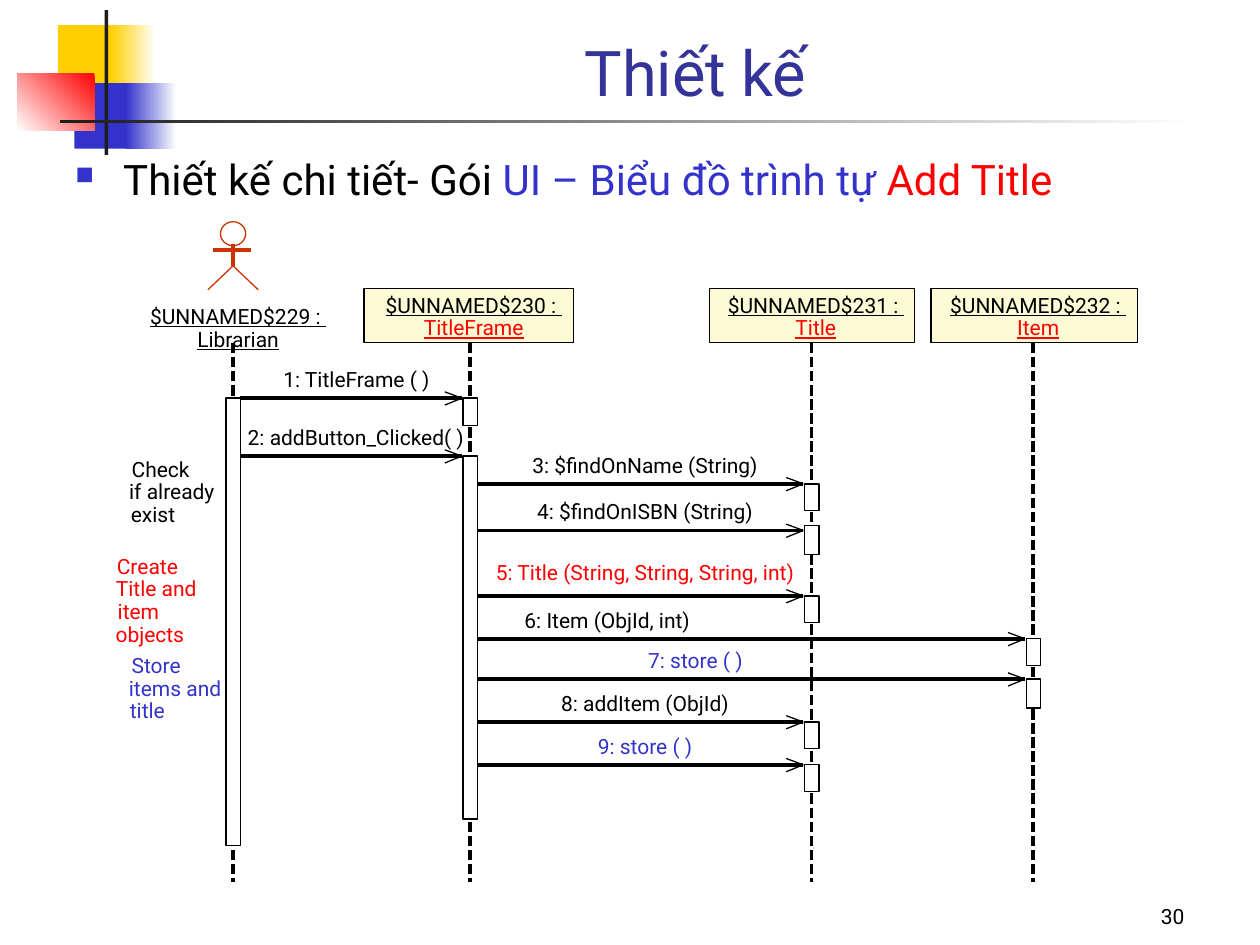
from lxml import etree
from pptx import Presentation, util as u
from pptx.dml.color import RGBColor
from pptx.enum import dml, shapes, text
from pptx.oxml.ns import qn

BLACK = RGBColor(0x00, 0x00, 0x00)
WHITE = RGBColor(0xFF, 0xFF, 0xFF)
INK = RGBColor(0x1C, 0x1C, 0x1C)
RED = RGBColor(0xFF, 0x00, 0x00)
BLUE = RGBColor(0x33, 0x33, 0xCC)
NAVY = RGBColor(0x33, 0x33, 0x99)
YELLOW = RGBColor(0xFF, 0xCF, 0x01)
CREAM = RGBColor(0xFD, 0xFB, 0xD5)
RUST = RGBColor(0xCC, 0x33, 0x00)

CELL = u.Inches(0.1)  # the slide is a grid of 100 columns by 75 rows
PLAIN = {"margin_left": 0, "margin_right": 0, "margin_top": 0, "margin_bottom": 0,
         "word_wrap": False, "auto_size": text.MSO_AUTO_SIZE.SHAPE_TO_FIT_TEXT}
FRAMED = {"word_wrap": True, "auto_size": text.MSO_AUTO_SIZE.NONE}


def set_all(target, values):
    for name, value in values.items():
        setattr(target, name, value)


def add_run(paragraph, words, color, size=12, underline=None):
    run = paragraph.add_run()
    run.text = words
    set_all(run.font, {"name": "Roboto", "size": u.Pt(size), "underline": underline})
    run.font.color.rgb = color


class Region:
    """Draws on the slide in grid cells counted from its own corner."""

    def __init__(self, slide, column, row):
        self.shapes, self.column, self.row = slide.shapes, column, row

    def point(self, x, y):
        return round((self.column + x) * CELL), round((self.row + y) * CELL)

    def box(self, x, y, width, height):
        return *self.point(x, y), round(width * CELL), round(height * CELL)

    def block(self, box, fill=None, line=None, kind=shapes.MSO_SHAPE.RECTANGLE):
        block = self.shapes.add_shape(kind, *self.box(*box))
        self.finish(block, fill, line)
        return block

    def finish(self, part, fill, line):
        part.shadow.inherit = False
        if fill is None:
            part.fill.background()
        else:
            part.fill.solid()
            part.fill.fore_color.rgb = fill
        if line is None:
            part.line.fill.background()
        else:
            part.line.color.rgb = line
            part.line.width = 0

    def fade(self, box, start, end, angle=180):
        fill = self.block(box).fill
        fill.gradient()
        fill.gradient_angle = angle
        for stop, color in zip(fill.gradient_stops, (start, end)):
            stop.color.rgb = color

    def stroke(self, start, end, color=BLACK, width=0, dash=None):
        stroke = self.shapes.add_connector(
            shapes.MSO_CONNECTOR.STRAIGHT, *self.point(*start), *self.point(*end))
        stroke.line.color.rgb = color
        set_all(stroke.line, {"width": u.Pt(width), "dash_style": dash})
        etree.SubElement(stroke.element.spPr, qn("a:effectLst"))

    def outline(self, points, color):
        start, *rest = [self.point(*p) for p in points]
        builder = self.shapes.build_freeform(*start)
        builder.add_line_segments(rest, close=False)
        self.finish(builder.convert_to_shape(), None, color)

    def frame(self, box, values):
        frame = self.shapes.add_textbox(*self.box(*box)).text_frame
        set_all(frame, values)
        return frame

    def label(self, center, y, width, words, color=BLACK, underline=None):
        paragraph = self.frame((center - width / 2, y, width, 2), PLAIN).paragraphs[0]
        paragraph.alignment = text.PP_ALIGN.CENTER
        add_run(paragraph, words, color, underline=underline)


def draw_emblem(region):
    region.block((3.2, 1.2, 4.8, 5.2), YELLOW)
    region.fade((7.4, 1.2, 3.6, 5.2), WHITE, YELLOW)
    region.block((4.5, 5.8, 4.6, 5.2), BLUE)
    region.fade((8.6, 5.8, 4, 5.2), WHITE, BLUE)
    region.fade((0, 5, 6.1, 4.6), RED, WHITE, 225)
    region.block((6.9, 0, 0.3, 11.5), INK)
    region.fade((3.4, 8.7, 90, 0.3), WHITE, INK)


def place_title(region, slide):
    title = slide.shapes.title
    place = region.box(0, 0, 85.2, 8.4)
    set_all(title, dict(zip(("left", "top", "width", "height"), place)))
    set_all(title.text_frame, FRAMED | {"vertical_anchor": text.MSO_ANCHOR.BOTTOM})
    paragraph = title.text_frame.paragraphs[0]
    paragraph.alignment = text.PP_ALIGN.CENTER
    add_run(paragraph, "Thiết kế", NAVY, 36)


def place_heading(region):
    paragraph = region.frame((0, 0, 91.7, 59.2), FRAMED).paragraphs[0]
    properties = paragraph._p.get_or_add_pPr()
    properties.set("marL", str(u.Inches(0.38)))
    properties.set("indent", str(u.Inches(-0.38)))
    bullet_color = etree.SubElement(properties, qn("a:buClr"))
    etree.SubElement(bullet_color, qn("a:srgbClr"), val=str(BLUE))
    etree.SubElement(properties, qn("a:buSzPct"), val="60000")
    etree.SubElement(properties, qn("a:buChar"), char="■")
    for words, color in (("Thiết kế chi tiết- Gói ", BLACK),
                         ("UI – Biểu đồ trình tự ", BLUE), ("Add Title", RED)):
        add_run(paragraph, words, color, 24)


def draw_actor(region, x):
    region.block((x - 1, 0.6, 2, 1.9), None, RUST, shapes.MSO_SHAPE.OVAL)
    region.stroke((x, 2.4), (x, 4.1), RUST)
    region.stroke((x - 1.6, 2.85), (x + 1.4, 2.85), RUST)
    region.outline([(x - 2, 6), (x, 4.1), (x + 2, 6)], RUST)


def draw_participant(region, x, center, number, role, role_width, head, activations):
    """Head, dashed lifeline and activation bars; the actor has no head box."""
    name_top = 6.2 if head else 7.1
    if head:
        region.block((head[0], 5.9, head[1], 4.3), CREAM, BLACK)
    region.label(center, name_top, 14.6, f"$UNNAMED${number} : ", underline=True)
    region.label(center, name_top + 1.8, role_width, role, RED if head else BLACK, True)
    region.stroke((x, 10.2), (x, 53), dash=dml.MSO_LINE.SQUARE_DOT)
    for top, height in activations:
        region.block((x - 0.55, top, 1.15, height), WHITE, BLACK)


def draw_message(region, start, end, y, words, center, width, color=BLACK, rise=2.5):
    tip = end - 0.65
    region.stroke((start + 0.55, y), (tip, y))
    for side in (0.55, -0.5):
        region.stroke((tip, y), (tip - 1.35, y + side), width=0.75)
    region.label(center, y - rise, width, words, color)


def draw_sequence(region):
    librarian, frame, title, item = 8.5, 27.3, 54.4, 72
    draw_actor(region, librarian)
    for participant in (
            (librarian, 8.9, 229, "Librarian", 7, None, [(14.6, 35.5)]),
            (frame, 27.6, 230, "TitleFrame", 8.3, (18.9, 16.6),
             [(14.6, 2.2), (19.2, 28.8)]),
            (title, 54.75, 231, "Title", 3.3, (46.3, 16.3),
             [(21.4, 2.1), (24.7, 2.3), (30.3, 2.1), (40.3, 2.1), (43.7, 2.1)]),
            (item, 72.4, 232, "Item", 3.7, (63.9, 16.4), [(33.7, 2.1), (36.9, 2.3)])):
        draw_participant(region, *participant)
    for message in (
            (librarian, frame, 14.6, "1: TitleFrame ( )", 18.3, 12),
            (librarian, frame, 19.2, "2: addButton_Clicked( )", 18.25, 17.9),
            (frame, title, 21.4, "3: $findOnName (String)", 41.2, 19),
            (frame, title, 25.1, "4: $findOnISBN (String)", 41.2, 18.1),
            (frame, title, 30.3, "5: Title (String, String, String, int)",
             41.2, 25.4, RED, 2.9),
            (frame, item, 33.7, "6: Item (ObjId, int)", 38.2, 14.2),
            (frame, item, 36.9, "7: store ( )", 45.2, 7.7, BLUE),
            (frame, title, 40.3, "8: addItem (ObjId)", 41.2, 14.3),
            (frame, title, 43.7, "9: store ( )", 41.2, 7.7, BLUE)):
        draw_message(region, *message)


def write_notes(region):
    for top, color, lines in (
            (0.2, BLACK, [("Check", 1.4, 4.7), ("if already ", 1, 7.7), ("exist", 1.3, 3.7)]),
            (7.9, RED, [("Create", 0.1, 5.2), ("Title and", 0, 6.8),
                        ("item ", 0.2, 4), ("objects", 0.1, 5.6)]),
            (15.8, BLUE, [("Store", 1.3, 4.2), ("items and", 1, 7.8), ("title", 1.2, 3)])):
        for row, (words, left, width) in enumerate(lines):
            region.label(left + width / 2, top + 1.8 * row, width, words, color)


def place_page_number(region):
    frame = region.frame((0, 0, 20.8, 5), FRAMED | {"vertical_anchor": text.MSO_ANCHOR.BOTTOM})
    frame.paragraphs[0].alignment = text.PP_ALIGN.RIGHT
    add_run(frame.paragraphs[0], "30", BLACK)


def main():
    deck = Presentation()
    set_all(deck, {"slide_width": 100 * CELL, "slide_height": 75 * CELL})
    slide = deck.slides.add_slide(deck.slide_layouts.get_by_name("Title Only"))
    draw_emblem(Region(slide, 1.4, 0.8))
    place_title(Region(slide, 12.6, 0.8), slide)
    place_heading(Region(slide, 5, 11.7))
    draw_sequence(Region(slide, 10, 17))
    write_notes(Region(slide, 9, 36))
    place_page_number(Region(slide, 74.2, 69.2))
    deck.save("out.pptx")


if __name__ == "__main__":
    main()
